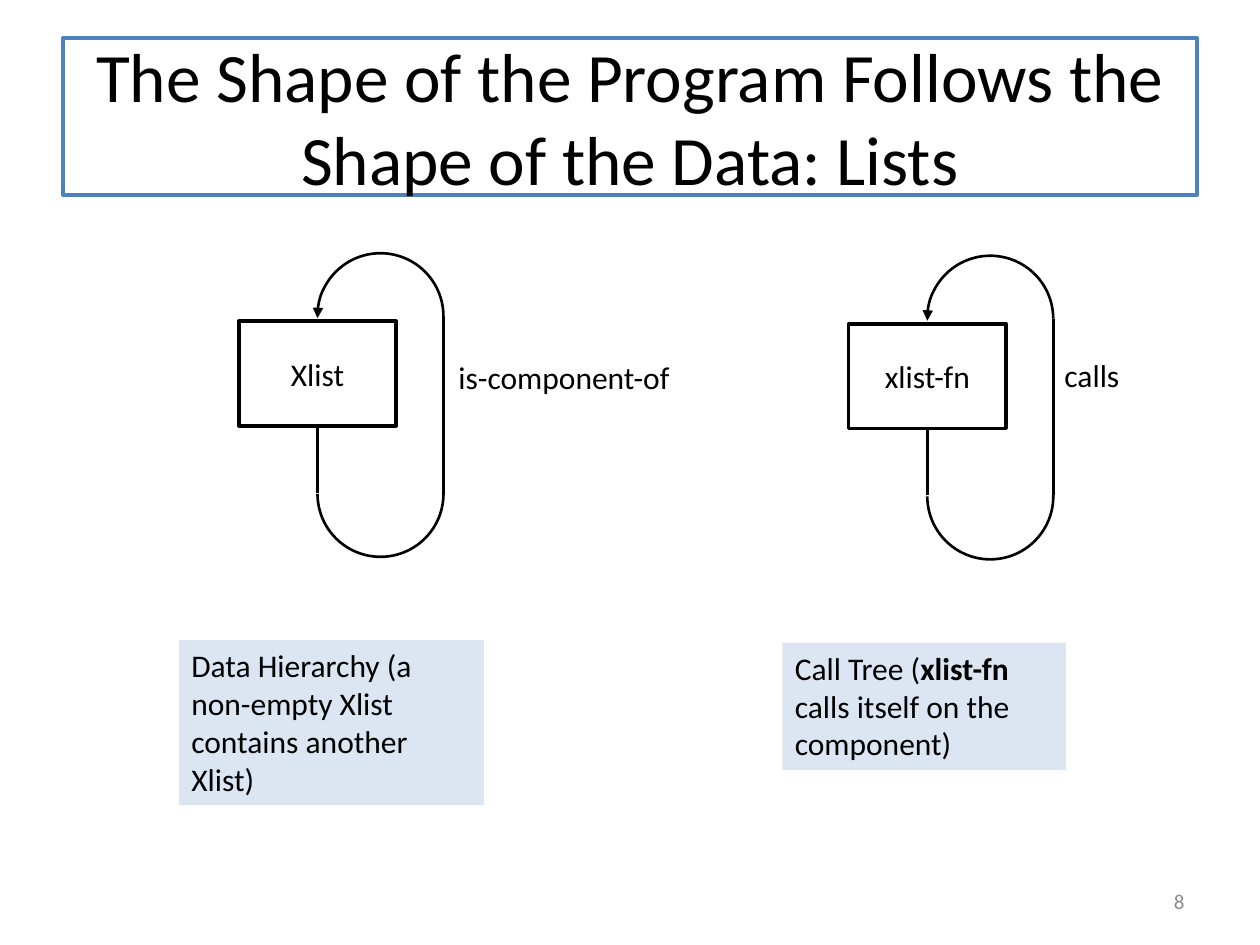
from dataclasses import dataclass

from lxml.etree import SubElement
from pptx import Presentation
from pptx.dml.color import RGBColor
from pptx.enum.shapes import MSO_CONNECTOR, MSO_SHAPE
from pptx.enum.text import MSO_ANCHOR, MSO_AUTO_SIZE, PP_ALIGN
from pptx.oxml.ns import qn
from pptx.shapes.autoshape import Shape
from pptx.shapes.connector import Connector
from pptx.slide import Slide
from pptx.util import Inches, Pt

BLACK = "000000"
WHITE = "FFFFFF"
BLUE = "4F81BD"
PALE_BLUE = "DCE6F2"
GRAY = "8C8C8C"
LOOP_SIZE = 1
LOOP_DROP = 1.41
SIDE_END = 1.9
BOX_WIDTH = 1.25
BOX_HEIGHT = 0.83
BOX_DROP = 0.54
CAPTION_DROP = 3.07


@dataclass
class Cycle:
    left: float
    top: float
    name: str
    label: str
    label_at: tuple[float, float, float, float]
    caption: list[tuple[str, bool]]
    caption_left: float
    caption_width: float
    caption_height: float


CYCLES = [
    Cycle(2.52, 2.01, "Xlist", "is-component-of", (3.54, 2.79, 2.02, 0.4),
          [("Data Hierarchy (a non-empty Xlist contains another Xlist)", False)],
          1.42, 2.42, 1.31),
    Cycle(7.36, 2.03, "xlist-fn", "calls", (8.35, 2.78, 0.64, 0.4),
          [("Call Tree (", False), ("xlist-fn", True),
           (" calls itself on the component)", False)],
          6.21, 2.25, 1.01),
]


def color(value: str) -> RGBColor:
    return RGBColor.from_string(value)


def write(shape: Shape, spans: list[tuple[str, bool]], size: float = 18,
          ink: str = BLACK, align: PP_ALIGN = PP_ALIGN.LEFT,
          anchor: MSO_ANCHOR = MSO_ANCHOR.TOP, wrap: bool = True) -> None:
    frame = shape.text_frame
    frame.word_wrap = wrap
    frame.vertical_anchor = anchor
    para = frame.paragraphs[0]
    para.alignment = align
    for text, bold in spans:
        span = para.add_run()
        span.text = text
        span.font.name = "Calibri"
        span.font.size = Pt(size)
        span.font.bold = bold
        span.font.color.rgb = color(ink)


def add_box(page: Slide, left: float, top: float, width: float, height: float,
            fill: str, outline: str | None = None) -> Shape:
    box = page.shapes.add_shape(MSO_SHAPE.RECTANGLE, Inches(left), Inches(top),
                                Inches(width), Inches(height))
    box.shadow.inherit = False
    box.fill.solid()
    box.fill.fore_color.rgb = color(fill)
    if outline:
        box.line.color.rgb = color(outline)
        box.line.width = Pt(2)
    else:
        box.line.fill.background()
    return box


def add_text(page: Slide, at: tuple[float, float, float, float]) -> Shape:
    return page.shapes.add_textbox(*(Inches(length) for length in at))


def add_line(page: Slide, left: float, top: float, bottom: float,
             width: float) -> Connector:
    line = page.shapes.add_connector(MSO_CONNECTOR.STRAIGHT, Inches(left),
                                     Inches(top), Inches(left), Inches(bottom))
    line.line.color.rgb = color(BLACK)
    line.line.width = Pt(width)
    SubElement(line._element.spPr, qn("a:effectLst"))
    return line


def add_arc(page: Slide, left: float, top: float, flip: str,
            arrow: bool = False) -> None:
    arc = page.shapes.add_shape(MSO_SHAPE.ARC, Inches(left), Inches(top),
                                Inches(LOOP_SIZE), Inches(LOOP_SIZE))
    arc.adjustments[0] = 108
    arc.adjustments[1] = 1.1
    arc.shadow.inherit = False
    arc.fill.background()
    arc.line.color.rgb = color(BLACK)
    arc.line.width = Pt(1.5)
    properties = arc._element.spPr
    properties.find(qn("a:xfrm")).set(flip, "1")
    if arrow:
        SubElement(properties.find(qn("a:ln")), qn("a:tailEnd"), type="triangle")


def draw_cycle(page: Slide, cycle: Cycle) -> None:
    left, top = cycle.left, cycle.top
    box = add_box(page, left - BOX_WIDTH / 2, top + BOX_DROP,
                  BOX_WIDTH, BOX_HEIGHT, WHITE, BLACK)
    write(box, [(cycle.name, False)], align=PP_ALIGN.CENTER, anchor=MSO_ANCHOR.MIDDLE)
    stem = add_line(page, left, top + BOX_DROP + BOX_HEIGHT, top + SIDE_END, 1.5)
    stem.begin_connect(box, 2)
    add_arc(page, left, top + LOOP_DROP, "flipV")
    add_arc(page, left, top, "flipH", arrow=True)
    add_line(page, left + LOOP_SIZE, top + LOOP_SIZE / 2, top + SIDE_END, 2)
    label = add_text(page, cycle.label_at)
    write(label, [(cycle.label, False)], wrap=False)
    caption = add_box(page, cycle.caption_left, top + CAPTION_DROP,
                      cycle.caption_width, cycle.caption_height, PALE_BLUE)
    write(caption, cycle.caption)
    for shape in (label, caption):
        shape.text_frame.auto_size = MSO_AUTO_SIZE.SHAPE_TO_FIT_TEXT


def main() -> None:
    deck = Presentation()
    deck.slide_width = Inches(10)
    deck.slide_height = Inches(7.5)
    page = deck.slides.add_slide(deck.slide_layouts[6])
    title = add_box(page, 0.5, 0.3, 9, 1.25, WHITE, BLUE)
    write(title, [("The Shape of the Program Follows the Shape of the Data: Lists", False)],
          39.6, align=PP_ALIGN.CENTER, anchor=MSO_ANCHOR.MIDDLE)
    for cycle in CYCLES:
        draw_cycle(page, cycle)
    number = add_text(page, (7.17, 6.95, 2.33, 0.4))
    write(number, [("8", False)], 12, GRAY, PP_ALIGN.RIGHT, MSO_ANCHOR.MIDDLE)
    deck.save("out.pptx")


if __name__ == "__main__":
    main()
